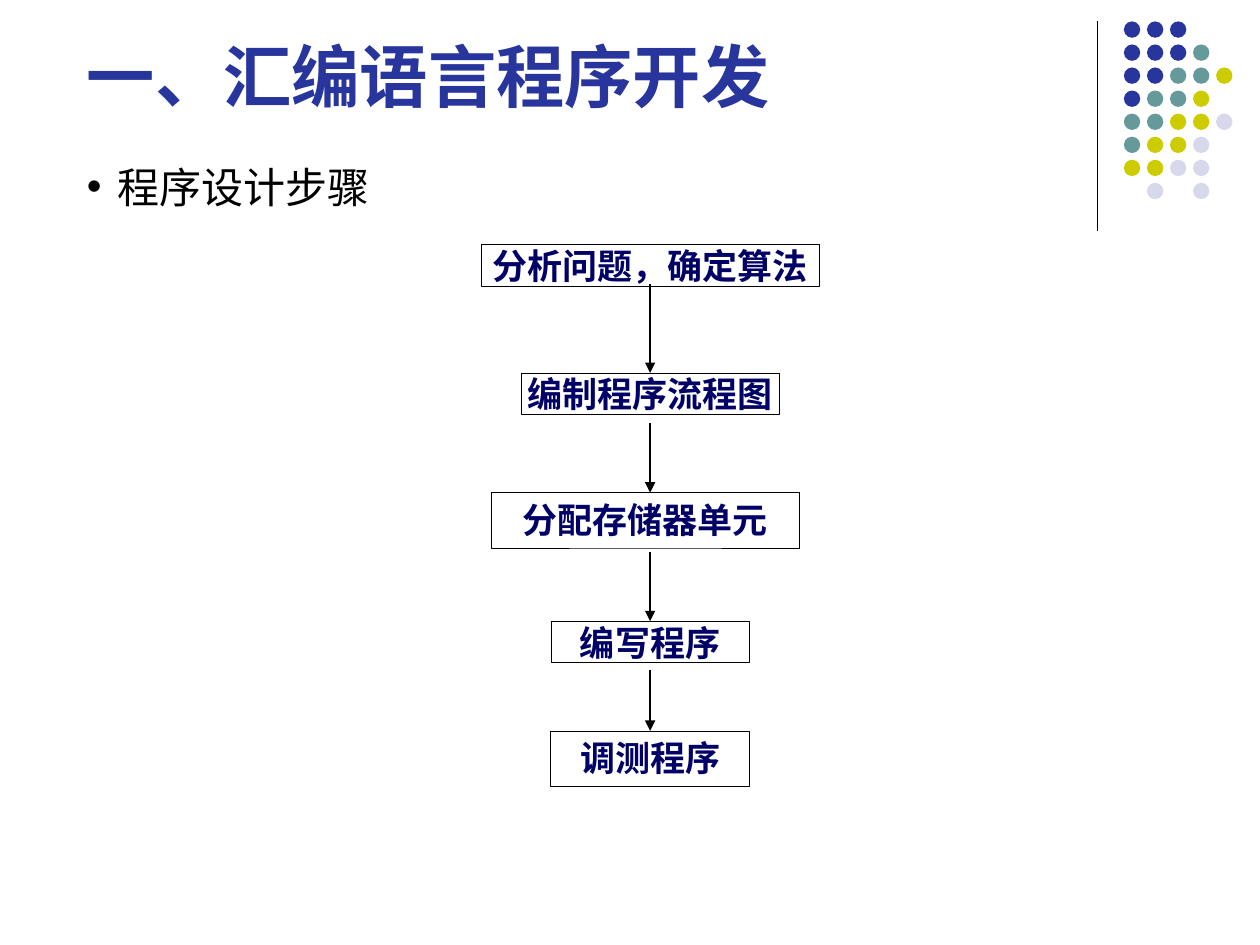
import pptx
import pptx.util
import pptx.dml.color
import pptx.enum.shapes
import pptx.enum.text
import pptx.oxml
import pptx.oxml.ns
from pptx.util import Inches

NS = pptx.oxml.ns.nsdecls("a")
KIND = pptx.enum.shapes.MSO_SHAPE
FIT = pptx.enum.text.MSO_AUTO_SIZE
ALIGN = pptx.enum.text.PP_ALIGN
ANCHOR = pptx.enum.text.MSO_ANCHOR


def paint(part, color):
    """Give a fill or a font a solid colour."""
    if hasattr(part, "solid"):
        part.solid()
        part.fore_color.rgb = pptx.dml.color.RGBColor.from_string(color)
    else:
        part.color.rgb = pptx.dml.color.RGBColor.from_string(color)


def rule(x, top, end, arrow=False):
    """Draw a vertical black line, with an arrowhead if asked."""
    line = slide.shapes.add_connector(
        pptx.enum.shapes.MSO_CONNECTOR.STRAIGHT,
        Inches(x), Inches(top), Inches(x), Inches(end))
    paint(line.line, "000000")
    line.line.width = pptx.util.Pt(0.75)
    props = line._element.spPr
    if arrow:
        props.find(pptx.oxml.ns.qn("a:ln")).append(
            pptx.oxml.parse_xml(f'<a:tailEnd {NS} type="triangle"/>'))
    props.append(pptx.oxml.parse_xml(f"<a:effectLst {NS}/>"))
    return line


deck = pptx.Presentation()
deck.slide_width, deck.slide_height = Inches(10), Inches(7.5)
slide = deck.slides.add_slide(deck.slide_layouts[1])

# Corner ornament: a rule and a grid of dots
rule(8.71, 0.17, 1.83)
hues = {"B": "27359D", "T": "669999", "Y": "CCCC00", "L": "D8D8EC"}
dots = ["BBB", "BBBT", "BBTTY", "BTTY", "TTYYL", "TYYL", "YYLL", " L L"]
for row, marks in enumerate(dots):
    for col, mark in enumerate(marks):
        if mark in hues:
            dot = slide.shapes.add_shape(
                KIND.OVAL, Inches(8.92 + 0.183 * col),
                Inches(0.17 + 0.183 * row), Inches(0.13), Inches(0.13))
            dot.shadow.inherit = False
            paint(dot.fill, hues[mark])
            dot.line.fill.background()

# Title and bullet
title, body = slide.placeholders
for holder, text, spot, size, color, bold in [
        (title, "一、汇编语言程序开发", (0.59, 0.28, 9, 0.69), 39, "27359D", True),
        (body, "程序设计步骤", (0.59, 1.23, 2.68, 0.5), 24, "000000", False)]:
    holder.left, holder.top, holder.width, holder.height = map(Inches, spot)
    frame = holder.text_frame
    frame.text = text
    frame.word_wrap = True
    frame.auto_size = FIT.NONE
    para = frame.paragraphs[0]
    para.alignment = ALIGN.LEFT
    para.space_before = pptx.util.Pt(0)
    if holder is body:
        props = para._p.get_or_add_pPr()
        props.set("marL", str(Inches(0.24)))
        props.set("indent", str(-Inches(0.24)))
        props.append(pptx.oxml.parse_xml(f'<a:buChar {NS} char="•"/>'))
    para.font.name = "Arial"
    para.font.size = pptx.util.Pt(size)
    para.font.bold = bold
    paint(para.font, color)
title.text_frame.vertical_anchor = ANCHOR.BOTTOM
body.text_frame.vertical_anchor = ANCHOR.TOP

# Flow chart: text, top, width, height, side and top margins,
# offset from the axis, start of the arrow that leads in
axis = 5.16
steps = [
    ("分析问题，确定算法", 1.94, 2.68, 0.33, 0, 0, 0, None),
    ("编制程序流程图", 2.96, 2.05, 0.33, 0, 0, 0, 2.25),
    ("分配存储器单元", 3.91, 2.44, 0.44, 0.1, 0.05, -0.04, 3.36),
    ("编写程序", 4.93, 1.57, 0.33, 0, 0, 0, 4.38),
    ("调测程序", 5.8, 1.58, 0.44, 0.1, 0.05, 0, 5.32),
]
for text, top, width, height, side, pad, shift, start in steps:
    box = slide.shapes.add_shape(
        KIND.RECTANGLE, Inches(axis + shift - width / 2), Inches(top),
        Inches(width), Inches(height))
    box.shadow.inherit = False
    box.fill.background()
    paint(box.line, "000000")
    box.line.width = pptx.util.Pt(0.25)
    frame = box.text_frame
    frame.text = text
    frame.word_wrap = True
    frame.auto_size = FIT.SHAPE_TO_FIT_TEXT
    frame.vertical_anchor = ANCHOR.TOP
    frame.margin_left = frame.margin_right = Inches(side)
    frame.margin_top = frame.margin_bottom = Inches(pad)
    para = frame.paragraphs[0]
    para.alignment = ALIGN.CENTER
    para.font.name = "Arial"
    para.font.size = pptx.util.Pt(20)
    para.font.bold = True
    paint(para.font, "000066")
    if start:
        arrow = rule(axis, start, top, arrow=True)
        if not shift:
            arrow.end_connect(box, 0)

deck.save("out.pptx")
